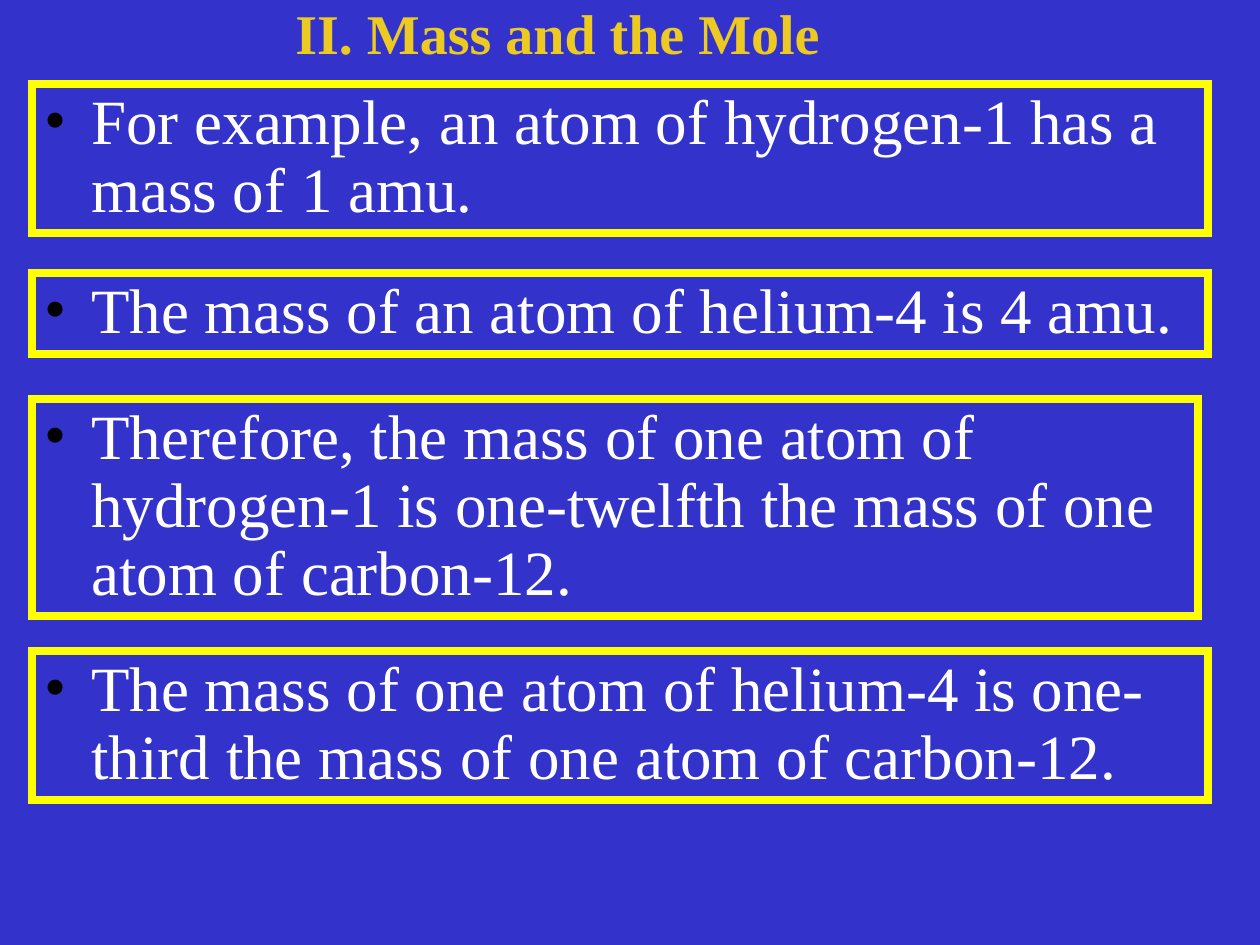
import lxml.etree as etree
import pptx
import pptx.dml.color
import pptx.enum.shapes
import pptx.enum.text
import pptx.oxml.ns
import pptx.util

EMU_PER_PX = 914400 / 126
LINE_HEIGHT = 68
BOX_PADDING = 13


def px(length):
    return pptx.util.Emu(round(length * EMU_PER_PX))


def color(value):
    return pptx.dml.color.RGBColor.from_string(value)


def add_xml(parent, tag, **attributes):
    return etree.SubElement(parent, pptx.oxml.ns.qn(tag), attributes)


def write(frame, text, *, size, ink, font="Times New Roman", bold=False,
          bullet=None, indent=0):
    """Fill a text frame with one formatted paragraph."""
    frame.word_wrap = True
    frame.auto_size = pptx.enum.text.MSO_AUTO_SIZE.SHAPE_TO_FIT_TEXT
    frame.vertical_anchor = pptx.enum.text.MSO_ANCHOR.TOP
    para = frame.paragraphs[0]
    para.alignment = pptx.enum.text.PP_ALIGN.LEFT
    para.line_spacing = 0.9
    if bullet:
        properties = para._p.get_or_add_pPr()
        properties.set("marL", str(px(indent)))
        properties.set("indent", str(-px(indent)))
        add_xml(add_xml(properties, "a:buClr"), "a:srgbClr", val=bullet)
        add_xml(properties, "a:buFont", typeface=font)
        add_xml(properties, "a:buChar", char="•")
    span = para.add_run()
    span.text = text
    span.font.name = font
    span.font.size = pptx.util.Pt(size)
    span.font.bold = bold
    span.font.color.rgb = color(ink)


class Painter:
    background = "3333CC"
    heading = "ECCA22"
    frame = "FFFF00"
    body = "FFFFFF"
    bullet = "000000"

    def __init__(self, page):
        self.page = page
        page.background.fill.solid()
        page.background.fill.fore_color.rgb = color(self.background)

    def title(self, text, left, top, width, height):
        box = self.page.shapes.add_textbox(px(left), px(top), px(width), px(height))
        write(box.text_frame, text, size=32, ink=self.heading, bold=True)

    def statement(self, text, left, top, width, lines):
        box = self.page.shapes.add_shape(
            pptx.enum.shapes.MSO_SHAPE.RECTANGLE, px(left), px(top),
            px(width), px(lines * LINE_HEIGHT + BOX_PADDING))
        box.shadow.inherit = False
        box.fill.background()
        box.line.color.rgb = color(self.frame)
        box.line.width = pptx.util.Pt(4.5)
        add_xml(box.line._get_or_add_ln(), "a:miter", lim="800000")
        write(box.text_frame, text, size=36, ink=self.body,
              bullet=self.bullet, indent=47)


def main():
    deck = pptx.Presentation()
    deck.slide_width, deck.slide_height = px(1260), px(945)
    painter = Painter(deck.slides.add_slide(deck.slide_layouts[6]))

    # Heading
    painter.title("II. Mass and the Mole", 283, 0, 560, 73)

    # Framed statements: top, width, line count, text
    statements = [
        (84, 1176, 2, "For example, an atom of hydrogen-1 has a mass of 1 amu."),
        (273, 1176, 1, "The mass of an atom of helium-4 is 4 amu."),
        (399, 1166, 3, "Therefore, the mass of one atom of hydrogen-1 is "
                       "one-twelfth the mass of one atom of carbon-12."),
        (651, 1176, 2, "The mass of one atom of helium-4 is one-third "
                       "the mass of one atom of carbon-12."),
    ]
    for top, width, lines, text in statements:
        painter.statement(text, 32, top, width, lines)

    deck.save("out.pptx")


if __name__ == "__main__":
    main()
